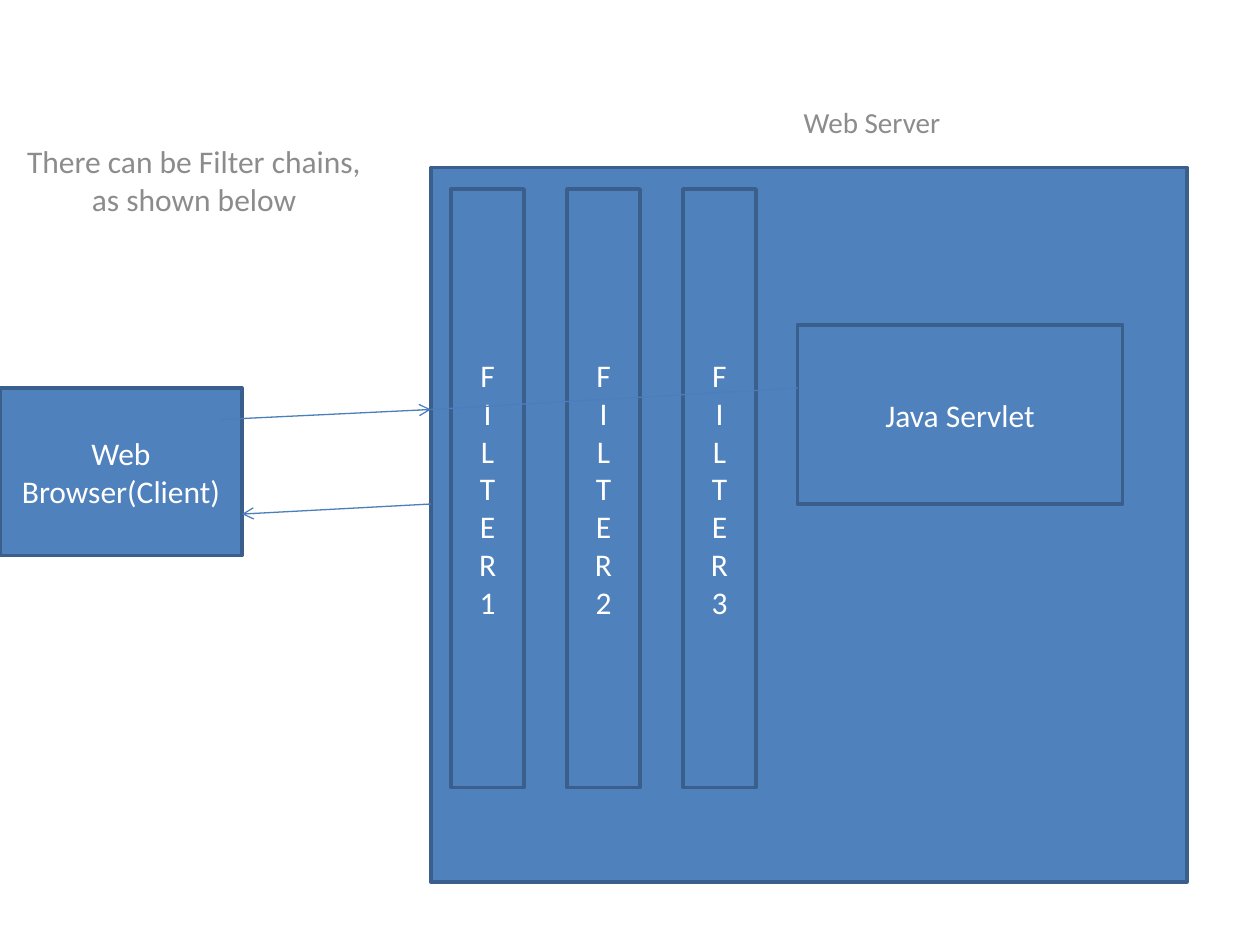
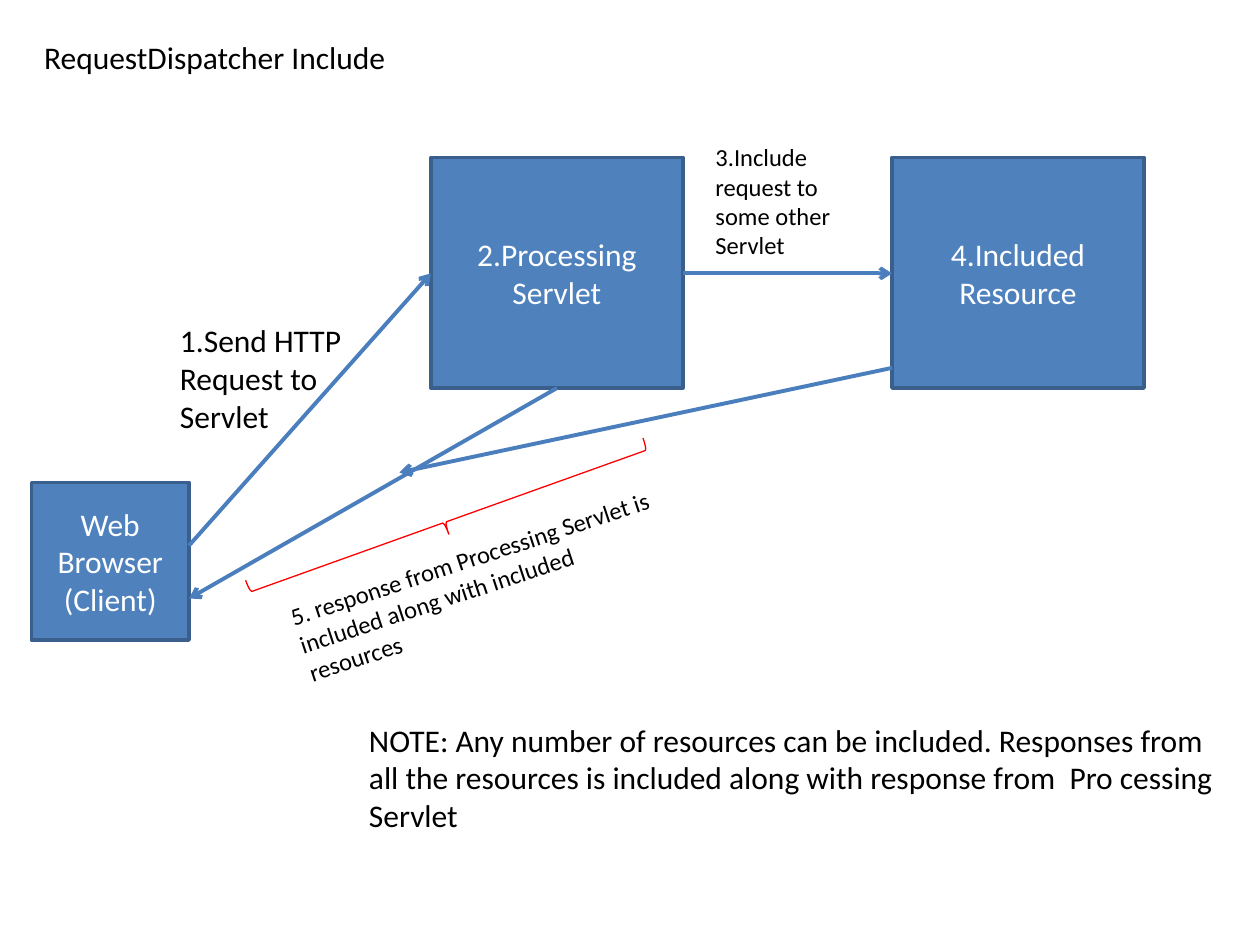
from lxml import etree
from pptx import Presentation
from pptx.util import Inches, Pt
from pptx.dml import color
from pptx.enum import shapes, text
from pptx.oxml import ns

HUES = {
    "box": "4F81BD",
    "edge": "3A5F8C",
    "link": "4B7EBC",
    "light": "FFFFFF",
    "grey": "8C8C8C",
    "dark": "000000",
    "brace": "FF0000",
}
FONT = "Calibri"
LEFT, MID = text.PP_ALIGN.LEFT, text.PP_ALIGN.CENTER
TOP, CORE = text.MSO_ANCHOR.TOP, text.MSO_ANCHOR.MIDDLE


def hue(name):
    return color.RGBColor.from_string(HUES[name])


def write(shape, lines, tint, size=18, align=LEFT, anchor=TOP, fit="NONE"):
    frame = shape.text_frame
    frame.word_wrap = True
    frame.auto_size = getattr(text.MSO_AUTO_SIZE, fit)
    frame.vertical_anchor = anchor
    for i, line in enumerate(lines):
        para = frame.add_paragraph() if i else frame.paragraphs[0]
        para.alignment = align
        run = para.add_run()
        run.text = line
        run.font.name = FONT
        run.font.size = Pt(size)
        run.font.color.rgb = hue(tint)


def title(slide, words, area, tint, align=LEFT):
    shape = slide.shapes.title
    shape.left, shape.top, shape.width, shape.height = map(Inches, area)
    write(shape, [words], tint, align=align)


def box(slide, area, lines=()):
    shape = slide.shapes.add_shape(shapes.MSO_SHAPE.RECTANGLE, *map(Inches, area))
    shape.shadow.inherit = False
    shape.fill.solid()
    shape.fill.fore_color.rgb = hue("box")
    shape.line.color.rgb = hue("edge")
    shape.line.width = Pt(2)
    write(shape, lines, "light", align=MID, anchor=CORE)


def note(slide, words, area, size=18, turn=0):
    shape = slide.shapes.add_textbox(*map(Inches, area))
    shape.rotation = turn
    write(shape, [words], "dark", size, fit="SHAPE_TO_FIT_TEXT")


def label(slide, words, area):
    shape = slide.shapes.add_textbox(*map(Inches, area))
    write(shape, [words], "grey", 16.6, MID)
    shape.text_frame.paragraphs[0].line_spacing = 0.8


def link(slide, start, end, width, arrow=True):
    line = slide.shapes.add_connector(
        shapes.MSO_CONNECTOR.STRAIGHT, *map(Inches, start + end))
    line.line.color.rgb = hue("link")
    line.line.width = Pt(width)
    if arrow:
        tail = etree.SubElement(line.line._get_or_add_ln(), ns.qn("a:tailEnd"))
        tail.set("type", "arrow")
    etree.SubElement(line._element.spPr, ns.qn("a:effectLst"))


def brace(slide, area, turn):
    shape = slide.shapes.add_shape(shapes.MSO_SHAPE.RIGHT_BRACE, *map(Inches, area))
    shape.shadow.inherit = False
    shape.fill.background()
    shape.line.color.rgb = hue("brace")
    shape.line.width = Pt(0.75)
    shape.adjustments[0] = 0.08
    shape.adjustments[1] = 0.51
    shape.rotation = turn


def chain(slide):
    title(slide, "There can be Filter chains, as shown below",
          (0, 1.08, 3.08, 1.33), "grey", MID)
    box(slide, (0, 3.08, 1.92, 1.33), ["Web Browser(Client)"])
    box(slide, (3.42, 1.33, 6, 5.67))
    label(slide, "Web Server", (5.92, 0.83, 2, 0.33))
    box(slide, (6.33, 2.58, 2.58, 1.42), ["Java Servlet"])
    for i in range(3):
        box(slide, (3.58 + 0.92 * i, 1.5, 0.58, 4.75), f"FILTER{i + 1}")
    link(slide, (1.75, 3.33), (3.42, 3.25), 0.75)
    link(slide, (3.42, 4), (1.92, 4.08), 0.75)
    link(slide, (3.42, 3.25), (6.33, 3.08), 0.75, arrow=False)


def include(slide):
    title(slide, "RequestDispatcher Include", (0.25, 0.25, 4.08, 0.4), "dark")
    box(slide, (3.42, 1.25, 2, 1.83), ["2.Processing Servlet"])
    box(slide, (7.08, 1.25, 2, 1.83), ["4.Included Resource"])
    box(slide, (0.25, 3.83, 1.25, 1.25), ["Web Browser (Client)"])
    for start, end in (
        ((1.5, 4.33), (3.42, 2.17)),
        ((5.42, 2.17), (7.08, 2.17)),
        ((4.42, 3.08), (1.5, 4.75)),
        ((7.08, 2.92), (3.17, 3.75)),
    ):
        link(slide, start, end, 2.25)
    note(slide, "1.Send HTTP Request to Servlet", (1.33, 2.5, 2, 1))
    note(slide, "3.Include request to some other Servlet",
         (5.58, 1.08, 1.33, 1.04), 14)
    note(slide, "5. response from Processing Servlet is included along with "
         "included resources", (2.21, 4.24, 3.24, 0.81), 14, 341.6)
    brace(slide, (3.46, 2.46, 0.2, 3.35), 70.3)
    note(slide, "NOTE: Any number of resources can be included. Responses from "
         "all the resources is included along with response from  Pro cessing "
         "Servlet", (2.83, 5.67, 6.92, 1.01))


def main():
    deck = Presentation()
    deck.slide_width, deck.slide_height = Inches(10), Inches(7.5)
    for draw in (chain, include):
        draw(deck.slides.add_slide(deck.slide_layouts[5]))
    deck.save("out.pptx")


main()
